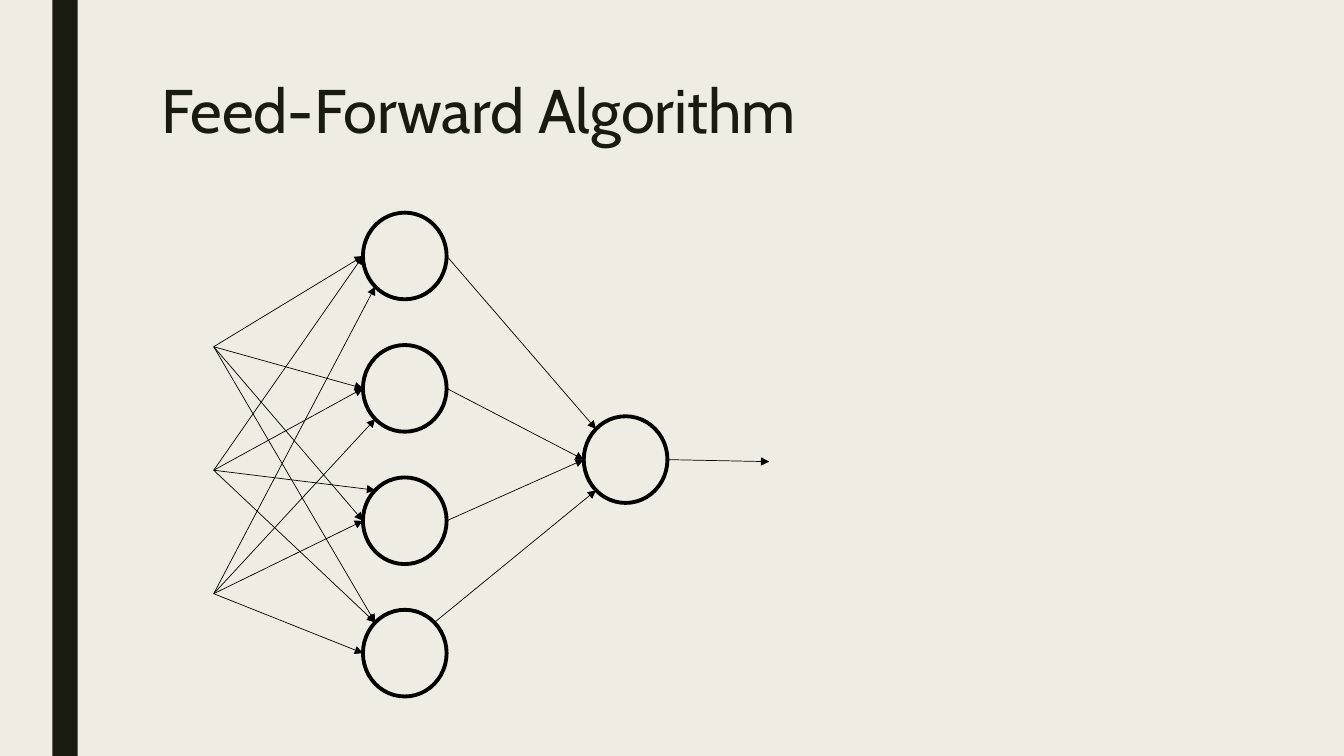
"""Build a slide showing a small feed-forward network."""
from dataclasses import dataclass
from math import cos, radians, sin

from lxml import etree
from pptx import Presentation
from pptx import util as u
from pptx.dml.color import RGBColor
from pptx.enum import shapes, text
from pptx.oxml import ns
from pptx.slide import Slide

PAPER = RGBColor(0xEF, 0xED, 0xE3)
DARK = RGBColor(0x19, 0x1B, 0x0E)
BLACK = RGBColor(0, 0, 0)
WIDE, HIGH = 0.83, 0.86
RIGHT, LOW, LEFT, UP, UPRIGHT = 0, 135, 180, 225, 315


@dataclass(frozen=True)
class Point:
    x: float
    y: float


@dataclass(frozen=True)
class Node:
    left: float
    top: float

    def rim(self, angle: int) -> Point:
        """Return the rim point at an angle, clockwise from the right."""
        turn = radians(angle)
        return Point(self.left + WIDE / 2 * (1 + cos(turn)),
                     self.top + HIGH / 2 * (1 + sin(turn)))


@dataclass(frozen=True)
class Arrow:
    start: Point
    end: Point


INPUTS = [Point(2.12, 3.44 + i * (5.89 - 3.44) / 2) for i in range(3)]
HIDDEN = [Node(3.6, 2.11 + i * (6.05 - 2.11) / 3) for i in range(4)]
OUTPUT = Node(5.79, 4.13)
ENTRIES = [
    (LEFT, LEFT, LEFT, UP),
    (LEFT, LEFT, UP, UP),
    (LOW, LOW, LEFT, LEFT),
]
EXITS = [(RIGHT, UP), (RIGHT, LEFT), (RIGHT, LEFT), (UPRIGHT, LOW)]


def draw_bar(slide: Slide) -> None:
    """Draw the dark band at the left."""
    bar = slide.shapes.add_shape(
        shapes.MSO_SHAPE.RECTANGLE, u.Inches(0.52), 0, u.Inches(0.25), u.Inches(7.5))
    bar.shadow.inherit = False
    bar.fill.solid()
    bar.fill.fore_color.rgb = DARK
    bar.line.fill.background()


def draw_title(slide: Slide) -> None:
    """Write the heading."""
    box = slide.shapes.add_textbox(
        u.Inches(1.5), u.Inches(0.75), u.Inches(10.5), u.Inches(0.87))
    frame = box.text_frame
    frame.word_wrap = True
    frame.vertical_anchor = text.MSO_ANCHOR.TOP
    frame.text = "Feed-Forward Algorithm"
    line = frame.paragraphs[0]
    line.line_spacing = 0.89
    font = line.runs[0].font
    font.name = "Cabin"
    font.size = u.Pt(44)
    font.color.rgb = DARK


def draw_node(slide: Slide, node: Node) -> None:
    """Draw one neuron."""
    ring = slide.shapes.add_shape(
        shapes.MSO_SHAPE.OVAL, u.Inches(node.left), u.Inches(node.top),
        u.Inches(WIDE), u.Inches(HIGH))
    ring.shadow.inherit = False
    ring.fill.background()
    ring.line.color.rgb = BLACK
    ring.line.width = u.Pt(2.75)


def draw_arrow(slide: Slide, arrow: Arrow) -> None:
    """Draw one link with a triangular head."""
    start, end = arrow.start, arrow.end
    link = slide.shapes.add_connector(
        shapes.MSO_CONNECTOR.STRAIGHT, u.Inches(start.x), u.Inches(start.y),
        u.Inches(end.x), u.Inches(end.y))
    link.line.color.rgb = BLACK
    link.line.width = u.Pt(0.5)
    props = link.element.spPr
    etree.SubElement(props.find(ns.qn("a:ln")), ns.qn("a:tailEnd"), type="triangle")
    etree.SubElement(props, ns.qn("a:effectLst"))


def main() -> None:
    """Build and save the slide."""
    deck = Presentation()
    deck.slide_width, deck.slide_height = u.Inches(13.33), u.Inches(7.5)
    slide = deck.slides.add_slide(deck.slide_layouts[6])
    slide.background.fill.solid()
    slide.background.fill.fore_color.rgb = PAPER
    draw_bar(slide)
    draw_title(slide)
    for node in [*HIDDEN, OUTPUT]:
        draw_node(slide, node)
    links = [Arrow(point, node.rim(angle))
             for point, angles in zip(INPUTS, ENTRIES)
             for node, angle in zip(HIDDEN, angles)]
    links += [Arrow(node.rim(leave), OUTPUT.rim(enter))
              for node, (leave, enter) in zip(HIDDEN, EXITS)]
    links.append(Arrow(OUTPUT.rim(RIGHT), Point(7.63, 4.58)))
    for link in links:
        draw_arrow(slide, link)
    deck.save("out.pptx")


if __name__ == "__main__":
    main()
